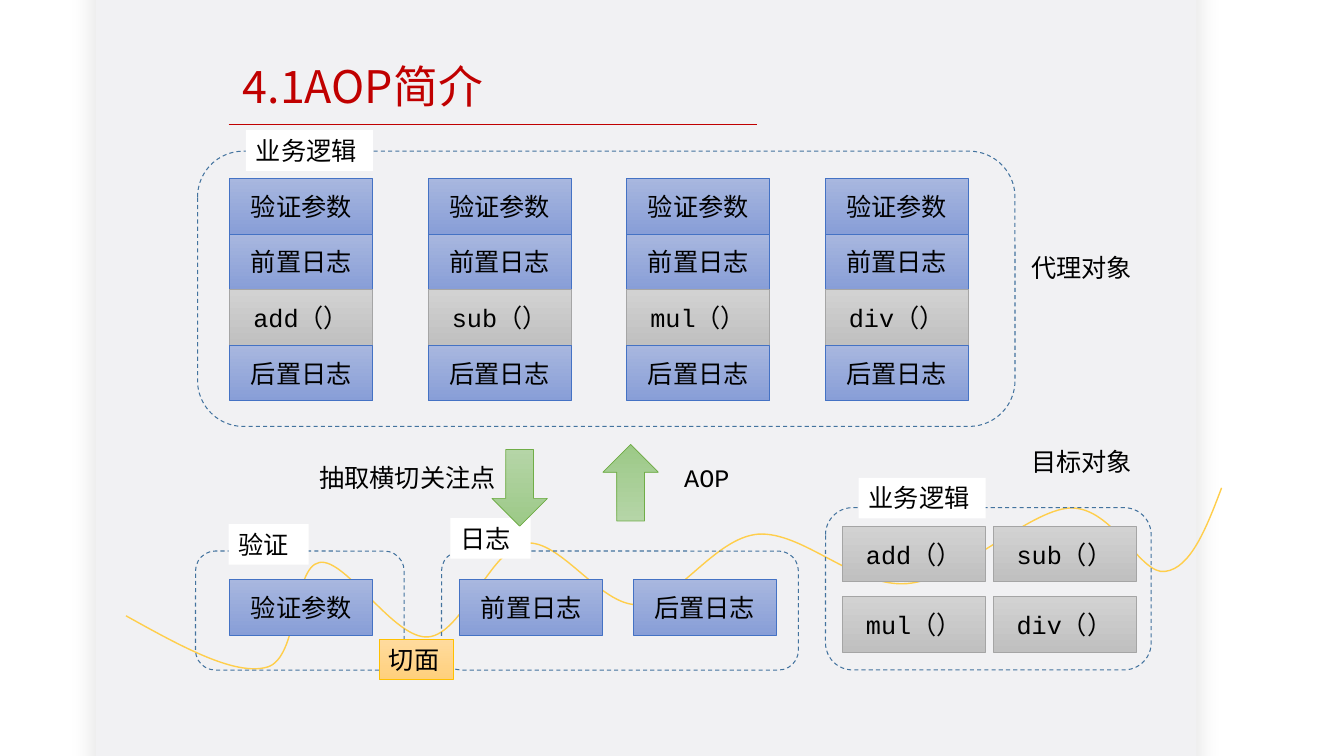
from itertools import product

from lxml.etree import SubElement
from pptx import Presentation
from pptx.dml.color import RGBColor
from pptx.enum.dml import MSO_LINE
from pptx.enum.shapes import MSO_CONNECTOR, MSO_SHAPE
from pptx.enum.text import MSO_ANCHOR, MSO_AUTO_SIZE, PP_ALIGN
from pptx.oxml.ns import qn
from pptx.util import Pt

CJK_FONT = "Noto Sans CJK SC"
CODE_FONT = "Courier New"

# Each style: gradient top, gradient bottom, outline
BLUE = ("A8B7DF", "889ED7", "4472C4")
GRAY = ("D2D2D2", "C0C0C0", "A5A5A5")
GREEN = ("B5D5A7", "9CC987", "70AD47")
AMBER = ("FFDB9E", "FFD07C", "FFC000")

BOX_WIDTH, BOX_HEIGHT = 102.25, 39.7
LABEL_HEIGHT = 29

# First point, then two control points and an end point per curve
WAVE = [
    (872.6, 348.5),
    (861.8, 377.3), (850.3, 406.1), (832.3, 408.2),
    (814.3, 411.1), (795.6, 362.2), (764.6, 362.9),
    (734.4, 364.3), (685.4, 414), (648, 416.9),
    (610.6, 419.8), (573.8, 379.4), (541.4, 381.6),
    (509.8, 384.5), (483.8, 430.6), (455.8, 432),
    (428.4, 432.7), (400.3, 384.5), (375.1, 388.1),
    (349.9, 392.4), (330.5, 452.9), (306, 455),
    (281.5, 457.2), (247, 398.2), (228.2, 401.8),
    (208.8, 405.4), (213.8, 470.2), (190.8, 476.6),
    (167.8, 483.1), (128.9, 461.5), (90, 439.9),
]


def color(code):
    return RGBColor.from_string(code)


def write(shape, text, size=18, font=CODE_FONT, ink="000000",
          align=PP_ALIGN.LEFT, anchor=MSO_ANCHOR.TOP, grow=True):
    frame = shape.text_frame
    frame.word_wrap = True
    frame.vertical_anchor = anchor
    if grow:
        frame.auto_size = MSO_AUTO_SIZE.SHAPE_TO_FIT_TEXT
    paragraph = frame.paragraphs[0]
    paragraph.alignment = align
    span = paragraph.add_run()
    span.text = text
    span.font.size = Pt(size)
    span.font.name = font
    span.font.color.rgb = color(ink)
    SubElement(span.font._element, qn("a:ea")).set("typeface", CJK_FONT)


def add_plain(page, kind, left, top, width, height, fill=None):
    shape = page.shapes.add_shape(kind, Pt(left), Pt(top), Pt(width), Pt(height))
    shape.shadow.inherit = False
    shape.line.fill.background()
    if fill:
        shape.fill.solid()
        shape.fill.fore_color.rgb = color(fill)
    else:
        shape.fill.background()
    return shape


def add_shaded(page, kind, left, top, width, height, style):
    shape = add_plain(page, kind, left, top, width, height)
    first, last, outline = style
    shape.fill.gradient()
    shape.fill.gradient_angle = 270
    for stop, code in zip(shape.fill.gradient_stops, (first, last)):
        stop.color.rgb = color(code)
    shape.line.color.rgb = color(outline)
    shape.line.width = Pt(0.5)
    return shape


def add_step(page, text, left, top):
    style = GRAY if text.endswith("（）") else BLUE
    box = add_shaded(page, MSO_SHAPE.RECTANGLE, left, top, BOX_WIDTH, BOX_HEIGHT, style)
    write(box, text, align=PP_ALIGN.CENTER, anchor=MSO_ANCHOR.MIDDLE, grow=False)


def add_frame(page, left, top, width, height):
    frame = add_plain(page, MSO_SHAPE.ROUNDED_RECTANGLE, left, top, width, height)
    frame.line.color.rgb = color("43739E")
    frame.line.width = Pt(0.75)
    frame.line.dash_style = MSO_LINE.DASH


def add_tag(page, text, left, top, width):
    tag = add_plain(page, MSO_SHAPE.RECTANGLE, left, top, width, LABEL_HEIGHT, "FFFFFF")
    write(tag, text)


def add_caption(page, text, left, top, width, height=LABEL_HEIGHT, **style):
    box = page.shapes.add_textbox(Pt(left), Pt(top), Pt(width), Pt(height))
    write(box, text, **style)


def add_panel(page):
    panel = add_plain(page, MSO_SHAPE.RECTANGLE, 68.4, -69.8, 786.2, 668.9, "F1F1F3")
    effects = panel._element.spPr.find(qn("a:effectLst"))
    shadow = SubElement(effects, qn("a:outerShdw"), blurRad=str(Pt(18)), dist="0")
    tint = SubElement(shadow, qn("a:srgbClr"), val="000000")
    SubElement(tint, qn("a:alpha"), val="12000")


def add_rule(page, left, right, y):
    rule = page.shapes.add_connector(
        MSO_CONNECTOR.STRAIGHT, Pt(left), Pt(y), Pt(right), Pt(y))
    rule.line.color.rgb = color("C00000")
    rule.line.width = Pt(0.5)
    SubElement(rule._element.spPr, qn("a:effectLst"))


def add_wave(page):
    points = [(Pt(x), Pt(y)) for x, y in WAVE]
    builder = page.shapes.build_freeform(*points[0])
    builder.add_line_segments(points[1:], close=False)
    wave = builder.convert_to_shape()
    wave.shadow.inherit = False
    wave.fill.background()
    wave.line.color.rgb = color("FFCE4B")
    wave.line.width = Pt(1)
    # Join every three straight segments into one cubic curve
    segments = list(wave._element.iter(qn("a:lnTo")))
    outline = segments[0].getparent()
    for start in range(0, len(segments), 3):
        curve = SubElement(outline, qn("a:cubicBezTo"))
        for segment in segments[start:start + 3]:
            curve.append(segment[0])
            outline.remove(segment)


def main():
    deck = Presentation()
    deck.slide_width, deck.slide_height = Pt(960), Pt(540)
    page = deck.slides.add_slide(deck.slide_layouts[6])

    # Background and title
    add_panel(page)
    add_caption(page, " 4.1AOP简介", 159.1, 38.2, 231.8, 46, size=32,
                font=CJK_FONT, ink="C00000", align=PP_ALIGN.JUSTIFY)
    add_rule(page, 163.4, 540.7, 88.9)
    add_wave(page)

    # Proxy object: four methods, each with its checks and logs
    add_frame(page, 141.1, 108, 583.9, 196.6)
    for column, method in enumerate(("add", "sub", "mul", "div")):
        steps = ("验证参数", "前置日志", f"{method}（）", "后置日志")
        for row, step in enumerate(steps):
            add_step(page, step, 164 + column * 141.8, 127.4 + row * BOX_HEIGHT)
    add_tag(page, "业务逻辑", 175.7, 93, 90.7)

    # Target object: the bare methods
    add_frame(page, 589.7, 362.6, 232.6, 115.9)
    cells = product((375.8, 426.2), (601.6, 709.2))
    for method, (top, left) in zip(("add", "sub", "mul", "div"), cells):
        add_step(page, f"{method}（）", left, top)
    add_tag(page, "业务逻辑", 613.4, 341.3, 90.7)

    # Aspects: validation and logging
    add_frame(page, 139.7, 393.6, 149, 85)
    add_frame(page, 315.4, 393.6, 254.9, 85)
    add_tag(page, "验证", 163.4, 374.4, 57.2)
    add_tag(page, "日志", 321.8, 370.1, 57.2)
    for step, left in (("验证参数", 164), ("前置日志", 328.3), ("后置日志", 452.2)):
        add_step(page, step, left, 414)

    # Arrows between the layers
    for left, top, turn in ((351.4, 321.1, 0), (430.6, 317.5, 180)):
        arrow = add_shaded(page, MSO_SHAPE.DOWN_ARROW, left, top, 39.6, 54.7, GREEN)
        arrow.rotation = turn

    # Captions
    aspect = add_shaded(page, MSO_SHAPE.RECTANGLE, 270.7, 456.5, 53, LABEL_HEIGHT, AMBER)
    write(aspect, "切面")
    add_caption(page, "抽取横切关注点", 221, 326.9, 152.6)
    add_caption(page, "AOP", 481.7, 326.9, 61.9)
    add_caption(page, "目标对象", 729.4, 315.4, 92.2)
    add_caption(page, "代理对象", 729.4, 176.4, 92.2)

    deck.save("out.pptx")


if __name__ == "__main__":
    main()
